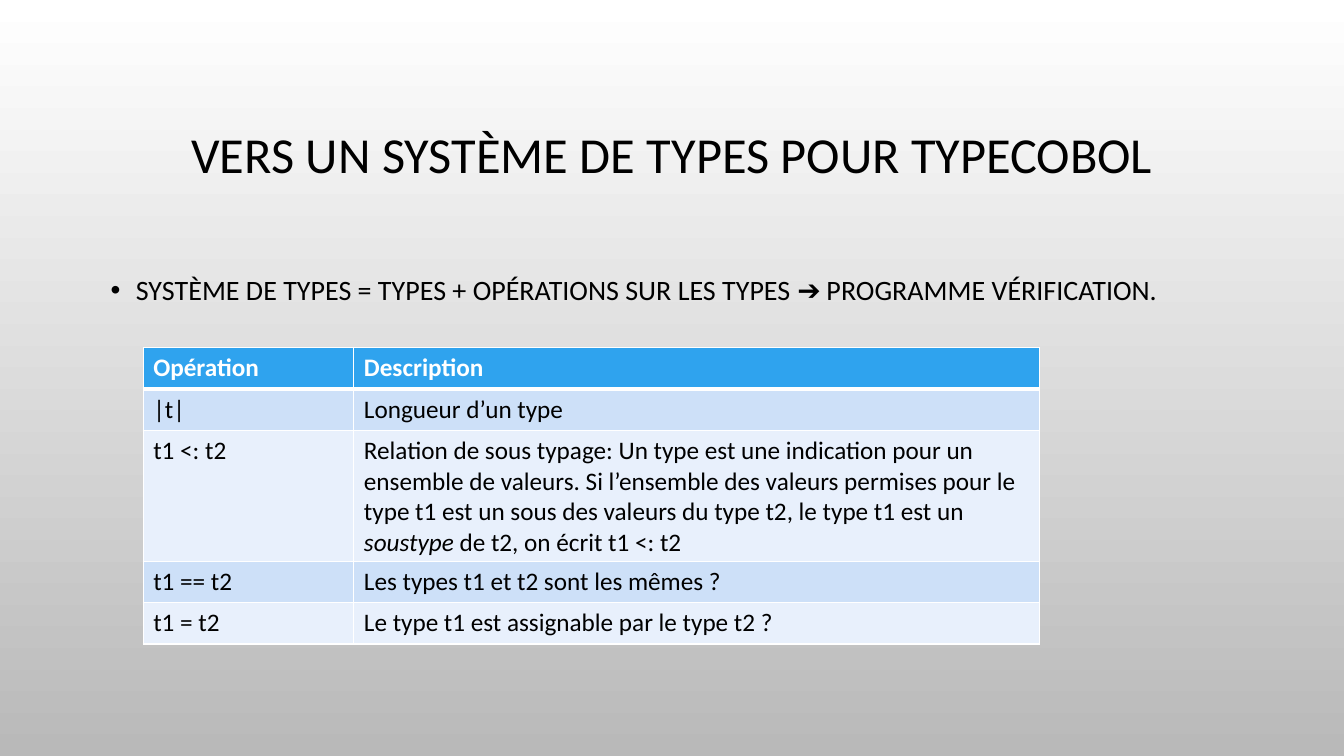
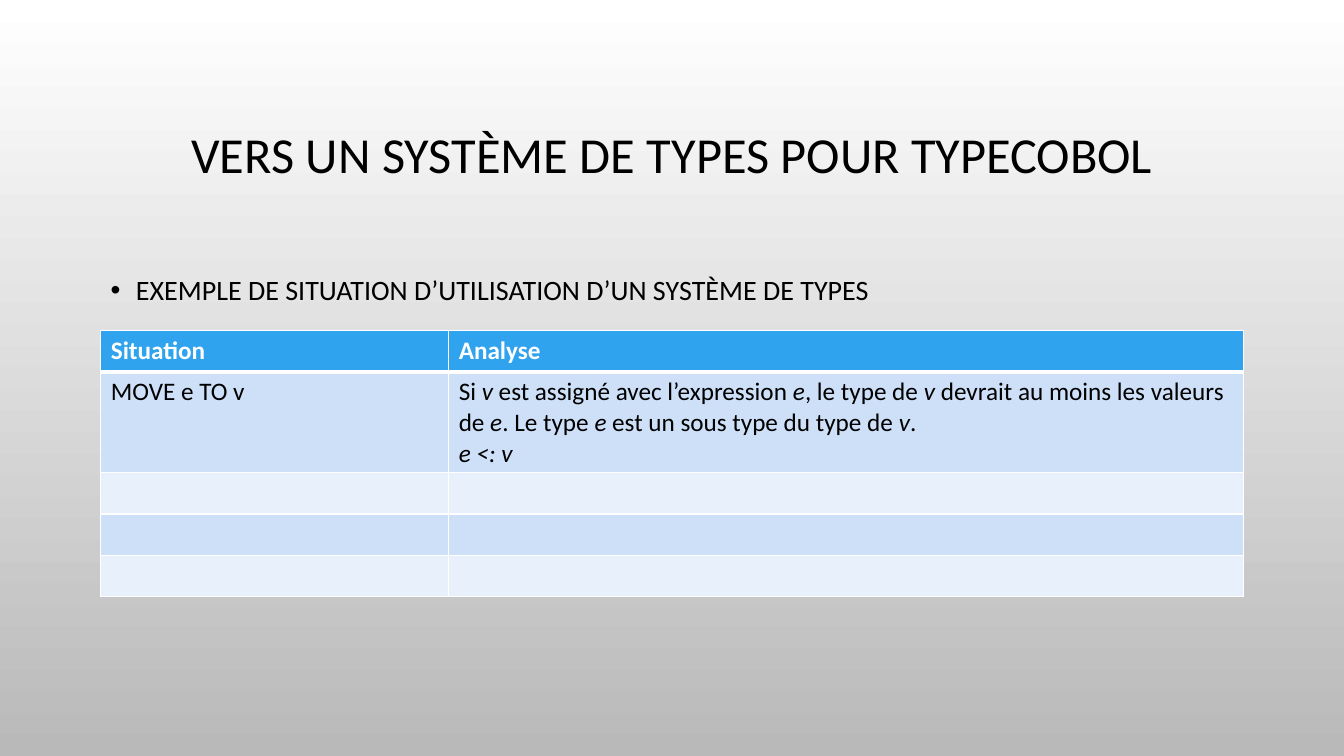
from lxml import etree
from pptx import Presentation, util as u
from pptx.dml.color import RGBColor
from pptx.enum import text
from pptx.oxml.ns import qn

Inches, Pt = u.Inches, u.Pt
COLOURS = {
    "ink": "000000",
    "white": "FFFFFF",
    "grey": "B9B9B9",
    "header": "2FA3EE",
    "odd": "CDE0F8",
    "even": "E8F0FC",
}
FONT = "Calibri"
TITLE = "VERS UN SYSTÈME DE TYPES POUR TYPECOBOL"
MARGIN, CONTENT_WIDTH = 1, 11.33
ROW_HEIGHT = 0.41
TITLE_FORMAT = {"alignment": text.PP_ALIGN.CENTER, "line_spacing": 0.9}
BULLET_FORMAT = {"line_spacing": 1.2, "space_before": Pt(10)}

SLIDES = [
    {
        "bullet": "SYSTÈME DE TYPES = TYPES + OPÉRATIONS SUR LES TYPES ➔ PROGRAMME VÉRIFICATION.",
        "corner": (1.42, 3.45),
        "columns": (2.09, 6.8),
        "rows": [
            ("Opération", "Description"),
            ("|t|", "Longueur d’un type"),
            (
                "t1 <: t2",
                "Relation de sous typage: Un type est une indication pour un ensemble de valeurs. "
                "Si l’ensemble des valeurs permises pour le type t1 est un sous des valeurs du type t2, "
                "le type t1 est un *soustype* de t2, on écrit t1 <: t2",
            ),
            ("t1 == t2", "Les types t1 et t2 sont les mêmes ?"),
            ("t1 = t2", "Le type t1 est assignable par le type t2 ?"),
        ],
    },
    {
        "bullet": "EXEMPLE DE SITUATION D’UTILISATION D’UN SYSTÈME DE TYPES",
        "corner": (MARGIN, 3.28),
        "columns": (3.45, 7.88),
        "rows": [
            ("Situation", "Analyse"),
            (
                "MOVE e TO v",
                "Si *v* est assigné avec l’expression *e*, le type de *v* devrait au moins "
                "les valeurs de *e*. Le type *e* est un sous type du type de *v*.\n*e <: v*",
            ),
            ("", ""),
            ("", ""),
            ("", ""),
        ],
    },
]


def rgb(colour):
    return RGBColor.from_string(COLOURS[colour])


def apply(target, formats):
    for name, value in formats.items():
        setattr(target, name, value)


def write(paragraph, content, size, colour="ink", bold=False):
    for index, part in enumerate(content.split("*")):
        if part:
            run = paragraph.add_run()
            run.text = part
            apply(run.font, {"name": FONT, "size": Pt(size), "bold": bold, "italic": index % 2 == 1})
            run.font.color.rgb = rgb(colour)


def add_text(slide, content, top, height, size, anchor, formats):
    box = slide.shapes.add_textbox(Inches(MARGIN), Inches(top), Inches(CONTENT_WIDTH), Inches(height))
    apply(box.text_frame, {"word_wrap": True, "vertical_anchor": anchor})
    paragraph = box.text_frame.paragraphs[0]
    apply(paragraph, formats)
    write(paragraph, content, size)
    return paragraph


def add_bullet(paragraph):
    properties = paragraph._p.get_or_add_pPr()
    properties.set("marL", str(Inches(0.25)))
    properties.set("indent", str(-Inches(0.25)))
    colour = etree.SubElement(properties, qn("a:buClr"))
    etree.SubElement(colour, qn("a:srgbClr"), val=COLOURS["ink"])
    etree.SubElement(properties, qn("a:buFont"), typeface="Arial")
    etree.SubElement(properties, qn("a:buChar"), char="•")


def add_borders(cell, widths):
    properties = cell._tc.get_or_add_tcPr()
    for side, width in widths.items():
        line = etree.SubElement(properties, qn(f"a:ln{side}"), w=str(Pt(width)))
        fill = etree.SubElement(line, qn("a:solidFill"))
        etree.SubElement(fill, qn("a:srgbClr"), val=COLOURS["white"])


def fill_cell(cell, content, row):
    header = row == 0
    add_borders(cell, {"L": 1, "R": 1, "T": 3 if row == 1 else 1, "B": 3 if header else 1})
    cell.fill.solid()
    cell.fill.fore_color.rgb = rgb("header" if header else "odd" if row % 2 else "even")
    for index, line in enumerate(content.split("\n")):
        frame = cell.text_frame
        paragraph = frame.add_paragraph() if index else frame.paragraphs[0]
        write(paragraph, line, 18, "white" if header else "ink", header)


def add_grid(slide, corner, columns, rows):
    left, top = corner
    table = slide.shapes.add_table(
        len(rows), len(columns), Inches(left), Inches(top),
        Inches(sum(columns)), Inches(ROW_HEIGHT * len(rows)),
    ).table
    for column, width in zip(table.columns, columns):
        column.width = Inches(width)
    for row, contents in enumerate(rows):
        table.rows[row].height = Inches(ROW_HEIGHT)
        for column, content in enumerate(contents):
            fill_cell(table.cell(row, column), content, row)


def set_background(master):
    fill = master.background.fill
    fill.gradient()
    fill.gradient_angle = 270
    for stop, colour in zip(fill.gradient_stops, ("white", "grey")):
        stop.color.rgb = rgb(colour)


def main():
    deck = Presentation()
    apply(deck, {"slide_width": Inches(13.33), "slide_height": Inches(7.5)})
    set_background(deck.slide_master)
    for content in SLIDES:
        slide = deck.slides.add_slide(deck.slide_layouts[6])
        add_text(slide, TITLE, 0.68, 1.75, 36, text.MSO_ANCHOR.MIDDLE, TITLE_FORMAT)
        add_bullet(add_text(slide, content["bullet"], 2.59, 3.74, 20, text.MSO_ANCHOR.TOP, BULLET_FORMAT))
        add_grid(slide, content["corner"], content["columns"], content["rows"])
    deck.save("out.pptx")


main()
